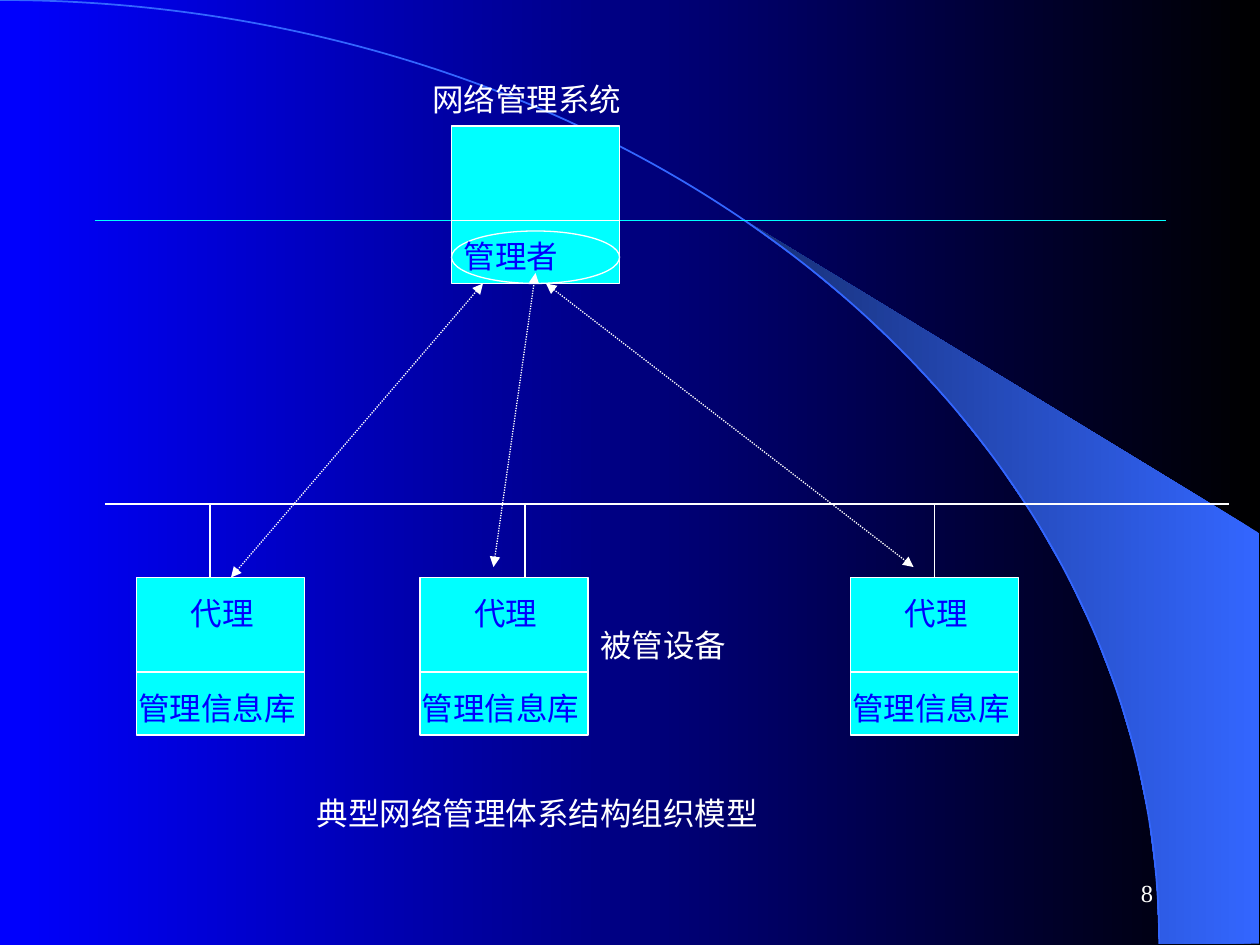
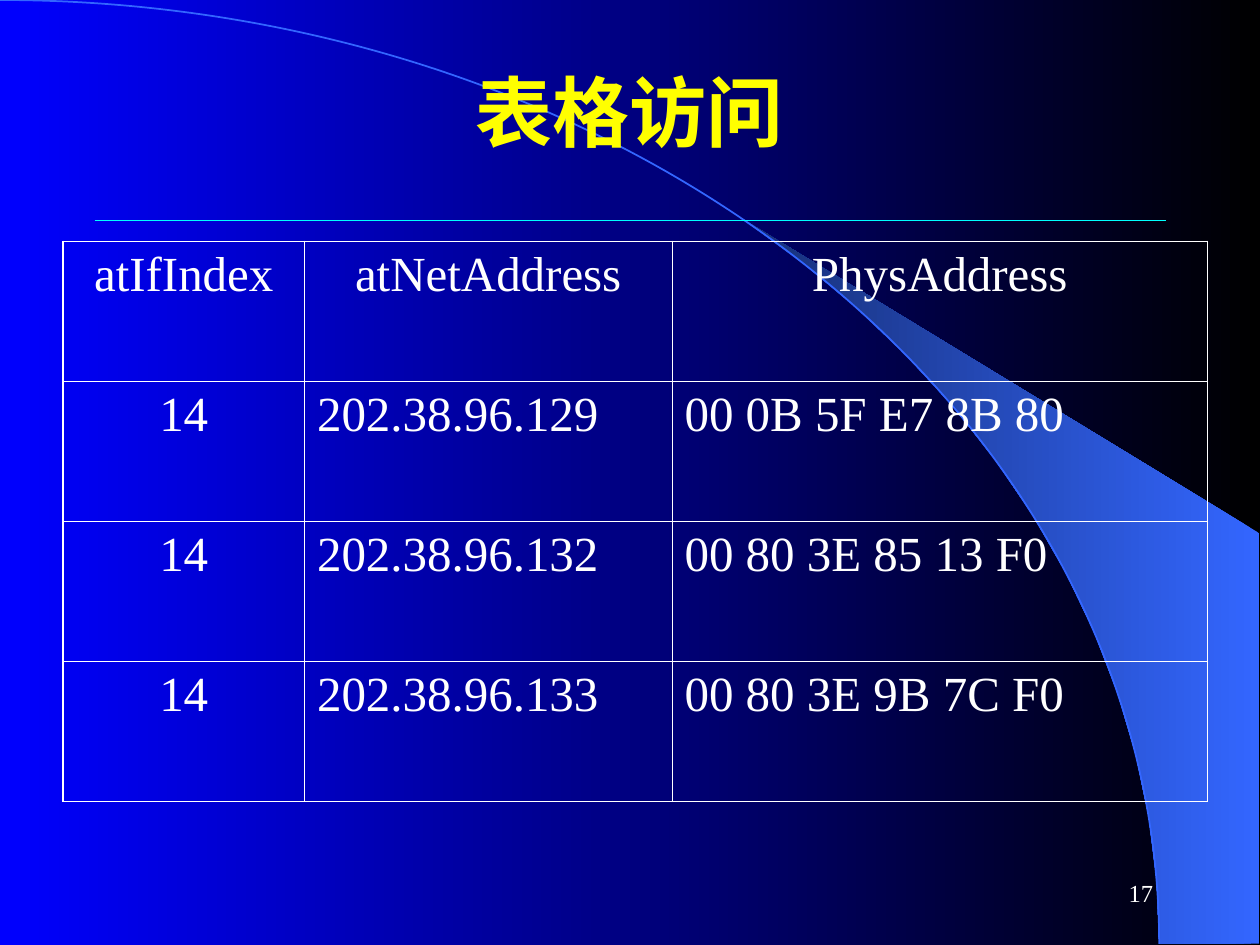
from dataclasses import dataclass
from math import cos, radians, sin

from lxml import etree
from pptx import Presentation
from pptx.dml.color import RGBColor
from pptx.enum.dml import MSO_LINE
from pptx.enum.shapes import MSO_CONNECTOR, MSO_SHAPE
from pptx.enum.text import MSO_ANCHOR, PP_ALIGN
from pptx.oxml.ns import qn
from pptx.util import Inches, Pt

STRAIGHT = MSO_CONNECTOR.STRAIGHT
RECTANGLE, OVAL, ARC = MSO_SHAPE.RECTANGLE, MSO_SHAPE.OVAL, MSO_SHAPE.ARC
LEFT, CENTER, RIGHT = PP_ALIGN.LEFT, PP_ALIGN.CENTER, PP_ALIGN.RIGHT
TOP, MIDDLE = MSO_ANCHOR.TOP, MSO_ANCHOR.MIDDLE
DOTTED = MSO_LINE.ROUND_DOT


@dataclass(frozen=True)
class Theme:
    black: RGBColor = RGBColor.from_string("000000")
    blue: RGBColor = RGBColor.from_string("0000FF")
    cyan: RGBColor = RGBColor.from_string("00FFFF")
    white: RGBColor = RGBColor.from_string("FFFFFF")
    yellow: RGBColor = RGBColor.from_string("FFFF00")
    arc: RGBColor = RGBColor.from_string("3366FF")
    shade: RGBColor = RGBColor.from_string("172F75")
    title_font: str = "Arial"
    body_font: str = "Times New Roman"
    title_size: int = 44
    table_size: int = 28
    label_size: int = 18
    number_size: int = 14
    thin: float = 0.75


theme = Theme()

deck = Presentation()
deck.slide_width, deck.slide_height = Inches(10), Inches(7.5)
UNIT = deck.slide_width // 120  # the grid has 120 columns and 90 rows


def add_text(shapes, text, left, top, width=26, height=4.8, color=theme.white,
             size=theme.label_size, align=LEFT, anchor=TOP):
    box = shapes.add_textbox(*(round(n * UNIT) for n in (left, top, width, height)))
    box.text_frame.word_wrap = True
    box.text_frame.vertical_anchor = anchor
    para = box.text_frame.paragraphs[0]
    para.alignment = align
    span = para.add_run()
    span.text = text
    span.font.name, span.font.size = theme.body_font, Pt(size)
    span.font.color.rgb = color


def add_line(shapes, start, end, color=theme.white, arrows=False):
    line = shapes.add_connector(STRAIGHT, *(n * UNIT for n in start + end))
    line.line.color.rgb = color
    line.line.width = Pt(theme.thin)
    if arrows:
        line.line.dash_style = DOTTED
        outline = line._element.spPr.find(qn("a:ln"))
        for tip in ("a:headEnd", "a:tailEnd"):
            etree.SubElement(outline, qn(tip), type="triangle")
    etree.SubElement(line._element.spPr, qn("a:effectLst"))
    return line


page = deck.slides.add_slide(deck.slide_layouts[6])
table_page = deck.slides.add_slide(deck.slide_layouts[5])

# Shared background on the master
master = deck.slide_master
backdrop = master.background.fill
backdrop.gradient()
backdrop.gradient_angle = 180
for stop, color in zip(backdrop.gradient_stops, (theme.black, theme.blue)):
    stop.color.rgb = color

# Shared beam, quarter ellipse and title rule, drawn once and moved to the master
radius_x, radius_y = Inches(9.2), Inches(7.49)
edge = Inches(9.99)
angles = [radians(39.8 + 50.2 * step / 13) for step in range(14)]
beam_points = [(radius_x * sin(angle), radius_y * (1 - cos(angle))) for angle in angles]
beam_points += [(edge, radius_y), (edge, Inches(4.23))]
art = page.shapes.add_group_shape()

builder = art.shapes.build_freeform(*beam_points[0])
builder.add_line_segments(beam_points[1:], close=True)
beam = builder.convert_to_shape()
beam.shadow.inherit = False
beam.line.fill.background()
beam.fill.gradient()
beam.fill.gradient_angle = 180
for stop, color in zip(beam.fill.gradient_stops, (theme.arc, theme.shade)):
    stop.color.rgb = color

curve = art.shapes.add_shape(ARC, -radius_x, 0, 2 * radius_x, 2 * radius_y)
curve.shadow.inherit = False
curve.fill.background()
curve.line.color.rgb = theme.arc
curve.line.width = Pt(1)

add_line(art.shapes, (9, 21), (111, 21), theme.cyan)
for number, part in enumerate([art, *art.shapes], 100):
    next(part._element.iter(qn("p:cNvPr"))).set("id", str(number))
master.shapes._spTree.insert(2, art._element)

# Page numbers
for sheet, number in ((page, "8"), (table_page, "17")):
    add_text(sheet.shapes, number, 86, 82, 25, 6,
             size=theme.number_size, align=RIGHT, anchor=MIDDLE)

# Manager and managed devices: boxes of 16 by 15 grid units
frames = []
for kind, left, top, height in ((RECTANGLE, 43, 12, 15), (OVAL, 43, 22, 5),
                                (RECTANGLE, 13, 55, 15), (RECTANGLE, 40, 55, 15),
                                (RECTANGLE, 81, 55, 15)):
    frame = page.shapes.add_shape(kind, left * UNIT, top * UNIT, 16 * UNIT, height * UNIT)
    frame.shadow.inherit = False
    frame.fill.solid()
    frame.fill.fore_color.rgb = theme.cyan
    frame.line.color.rgb = theme.white
    frame.line.width = Pt(theme.thin)
    frames.append(frame)

add_line(page.shapes, (43, 21), (59, 21))
add_text(page.shapes, "网络管理系统", 40, 7)
add_text(page.shapes, "管理者", 43, 22, color=theme.blue)

# Bus, with a drop line to each device
add_line(page.shapes, (10, 48), (117, 48))
for left, drop in ((13, 20), (40, 50), (81, 89)):
    add_line(page.shapes, (left, 64), (left + 16, 64))
    add_text(page.shapes, "代理", left + 4, 56, color=theme.blue)
    add_text(page.shapes, "管理信息库", left - 1, 65, color=theme.blue)
    drop_line = add_line(page.shapes, (drop, 48), (drop, 55))
drop_line.end_connect(frames[-1], 0)

# Exchanges between the manager and the agents
for start, end in (((46, 27), (22, 55)), ((52, 27), (87, 54)), ((51, 26), (47, 54))):
    add_line(page.shapes, start, end, arrows=True)

add_text(page.shapes, "被管设备", 56, 59)
add_text(page.shapes, "典型网络管理体系结构组织模型", 29, 75, 62)

# Title of the table slide
title = table_page.shapes.title
title.left, title.top, title.width, title.height = (n * UNIT for n in (9, 3, 102, 15))
title.text_frame.vertical_anchor = MIDDLE
para = title.text_frame.paragraphs[0]
para.alignment = CENTER
span = para.add_run()
span.text = "表格访问"
span.font.name, span.font.size = theme.title_font, Pt(theme.title_size)
span.font.bold = True
span.font.color.rgb = theme.yellow

# Address table
records = (
    ("atIfIndex", "atNetAddress", "PhysAddress"),
    ("14", "202.38.96.129", "00 0B 5F E7 8B 80"),
    ("14", "202.38.96.132", "00 80 3E 85 13 F0"),
    ("14", "202.38.96.133", "00 80 3E 9B 7C F0"),
)
columns = (23, 35, 51)
row_height = UNIT * 40 // 3
last_row, last_column = len(records) - 1, len(columns) - 1
table = table_page.shapes.add_table(len(records), len(columns), 6 * UNIT, 23 * UNIT,
                                    sum(columns) * UNIT, len(records) * row_height).table
table.first_row = table.horz_banding = False
for column, width in zip(table.columns, columns):
    column.width = width * UNIT

for row, record in enumerate(records):
    table.rows[row].height = row_height
    for column, value in enumerate(record):
        cell = table.cell(row, column)
        cell.fill.background()
        para = cell.text_frame.paragraphs[0]
        para.alignment = CENTER if row == 0 or column == 0 else LEFT
        span = para.add_run()
        span.text = value
        span.font.name, span.font.size = theme.body_font, Pt(theme.table_size)
        span.font.color.rgb = theme.white

        # Outer borders are heavier than inner ones
        sides = (("a:lnL", column == 0), ("a:lnR", column == last_column),
                 ("a:lnT", row == 0), ("a:lnB", row == last_row))
        properties = cell._tc.get_or_add_tcPr()
        for position, (side, outer) in enumerate(sides):
            border = etree.Element(qn(side), w=str(Pt(1.08 if outer else 0.45)))
            paint = etree.SubElement(border, qn("a:solidFill"))
            etree.SubElement(paint, qn("a:srgbClr"), val=str(theme.white))
            properties.insert(position, border)

deck.save("out.pptx")
